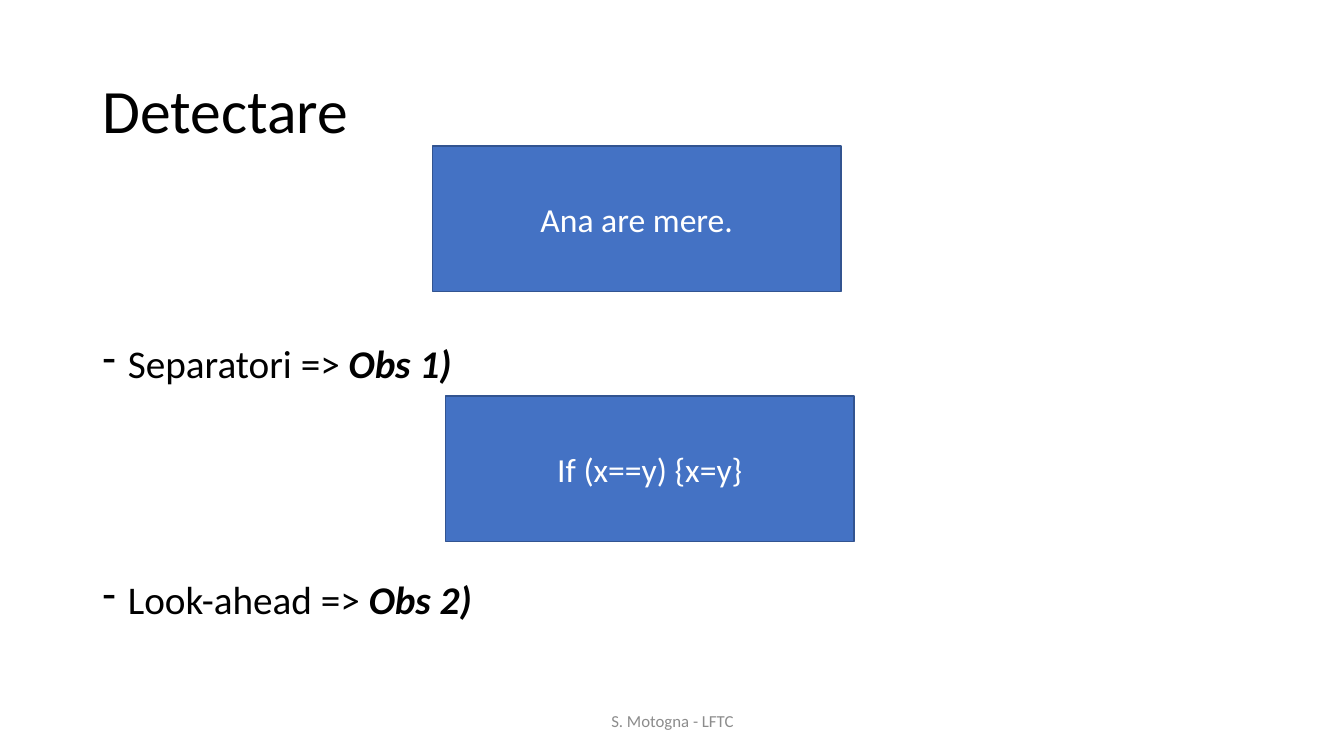
import pptx
import pptx.dml.color
import pptx.enum.shapes
import pptx.enum.text
import pptx.oxml
import pptx.util
from dataclasses import dataclass

Inches = pptx.util.Inches
Align = pptx.enum.text.PP_ALIGN
Anchor = pptx.enum.text.MSO_ANCHOR


@dataclass(frozen=True)
class Theme:
    """Colours, font and type sizes of the slide."""
    font: str = "Calibri"
    ink: str = "000000"
    muted: str = "8C8C8C"
    light: str = "FFFFFF"
    accent: str = "4472C4"
    outline: str = "325491"
    title: int = 44
    body: int = 28
    example: int = 24
    footer: int = 12


THEME = Theme()


def rgb(value):
    """Turn a hex string into a colour."""
    return pptx.dml.color.RGBColor.from_string(value)


def apply(target, formats):
    """Set each format value on the target."""
    for name, value in formats.items():
        setattr(target, name, value)


def add_run(paragraph, text, size, color, **emphasis):
    """Add a run of text in the theme font."""
    run = paragraph.add_run()
    run.text = text
    apply(run.font, {"name": THEME.font, "size": pptx.util.Pt(size), **emphasis})
    run.font.color.rgb = rgb(color)


def add_text_area(slide, box, anchor):
    """Add a wrapping text box and return its frame."""
    frame = slide.shapes.add_textbox(*map(Inches, box)).text_frame
    apply(frame, {"word_wrap": True, "vertical_anchor": anchor})
    return frame


def add_title(slide, box, text):
    """Place the slide title."""
    paragraph = add_text_area(slide, box, Anchor.MIDDLE).paragraphs[0]
    paragraph.line_spacing = 0.9
    add_run(paragraph, text, THEME.title, THEME.ink)


def add_methods(slide, box, methods, gap):
    """List the detection methods with dashes, spaced by the gap in points."""
    frame = add_text_area(slide, box, Anchor.TOP)
    for index, (method, remark) in enumerate(methods):
        paragraph = frame.add_paragraph() if index else frame.paragraphs[0]
        apply(paragraph, {"line_spacing": 0.9, "space_before": pptx.util.Pt(gap if index else 0)})
        properties = paragraph._p.get_or_add_pPr()
        properties.set("marL", str(Inches(0.25)))
        properties.set("indent", str(-Inches(0.25)))
        bullet = pptx.oxml.parse_xml(
            '<a:buChar xmlns:a="http://schemas.openxmlformats.org/drawingml/2006/main" char="-"/>')
        properties.append(bullet)
        add_run(paragraph, method, THEME.body, THEME.ink)
        add_run(paragraph, remark, THEME.body, THEME.ink, bold=True, italic=True)


def add_example(slide, box, text):
    """Place a filled box holding an example."""
    example = slide.shapes.add_shape(pptx.enum.shapes.MSO_SHAPE.RECTANGLE, *map(Inches, box))
    example.shadow.inherit = False
    example.fill.solid()
    example.fill.fore_color.rgb = rgb(THEME.accent)
    example.line.color.rgb = rgb(THEME.outline)
    example.line.width = pptx.util.Pt(1)
    example.text_frame.vertical_anchor = Anchor.MIDDLE
    paragraph = example.text_frame.paragraphs[0]
    paragraph.alignment = Align.CENTER
    add_run(paragraph, text, THEME.example, THEME.light)


def add_footer(slide, box, text):
    """Place the centred footer."""
    paragraph = add_text_area(slide, box, Anchor.MIDDLE).paragraphs[0]
    paragraph.alignment = Align.CENTER
    add_run(paragraph, text, THEME.footer, THEME.muted)


def build_detection_slide(deck):
    """Build the slide on detection."""
    slide = deck.slides.add_slide(deck.slide_layouts[6])
    margin, content_width = 0.92, 11.5
    example_size = (4.05, 1.44)
    add_title(slide, (margin, 0.4, content_width, 1.45), "Detectare")
    methods = [("Separatori => ", "Obs 1)"), ("Look-ahead => ", "Obs 2)")]
    add_methods(slide, (margin, 3.37, content_width, 3.38), methods, 138)
    add_footer(slide, (4.42, 6.95, 4.5, 0.4), "S. Motogna - LFTC")
    add_example(slide, (4.29, 1.45, *example_size), "Ana are mere.")
    add_example(slide, (4.42, 3.93, *example_size), "If (x==y) {x=y}")


def main():
    """Create and save the presentation."""
    deck = pptx.Presentation()
    apply(deck, {"slide_width": Inches(13.33), "slide_height": Inches(7.5)})
    build_detection_slide(deck)
    deck.save("out.pptx")


if __name__ == "__main__":
    main()
